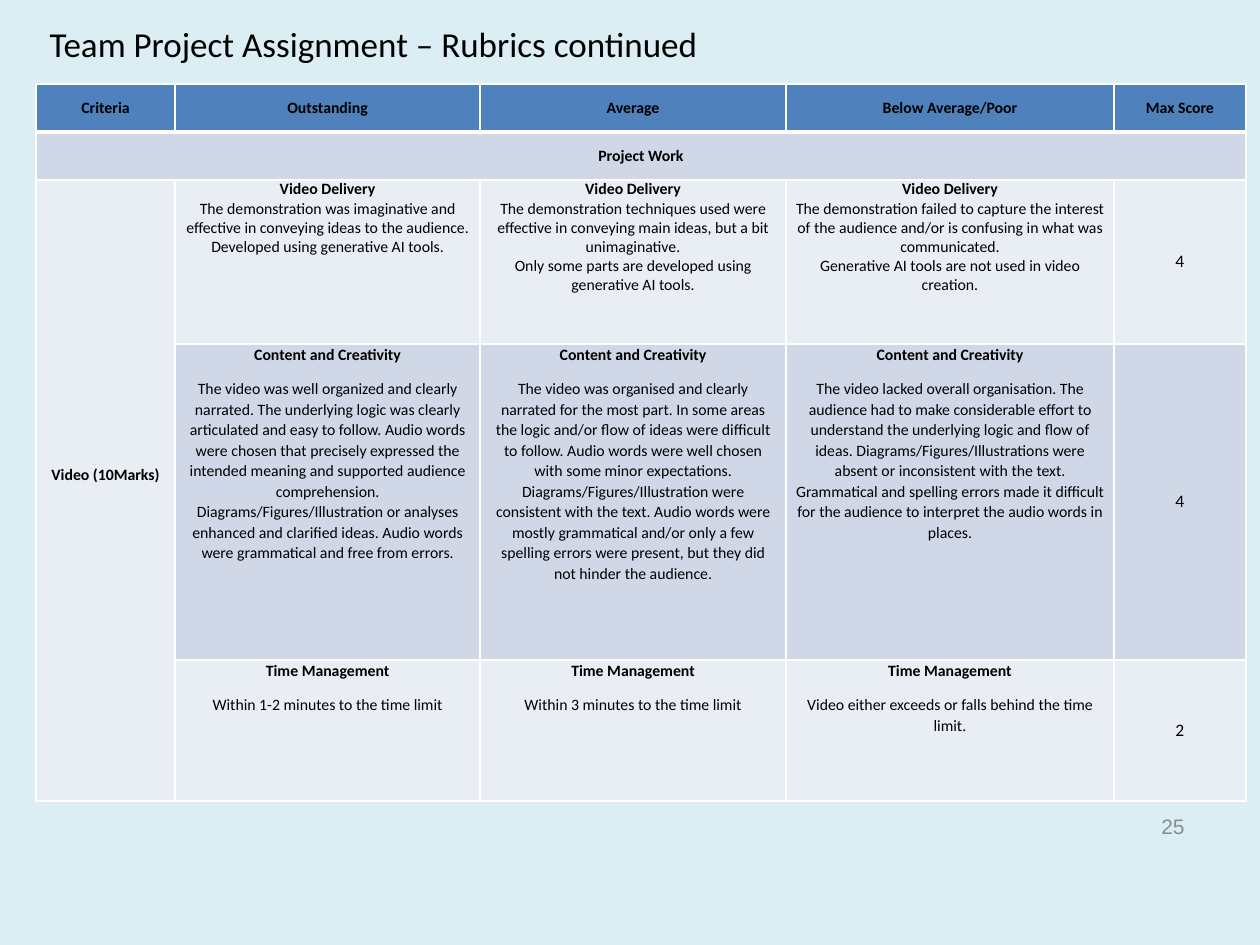
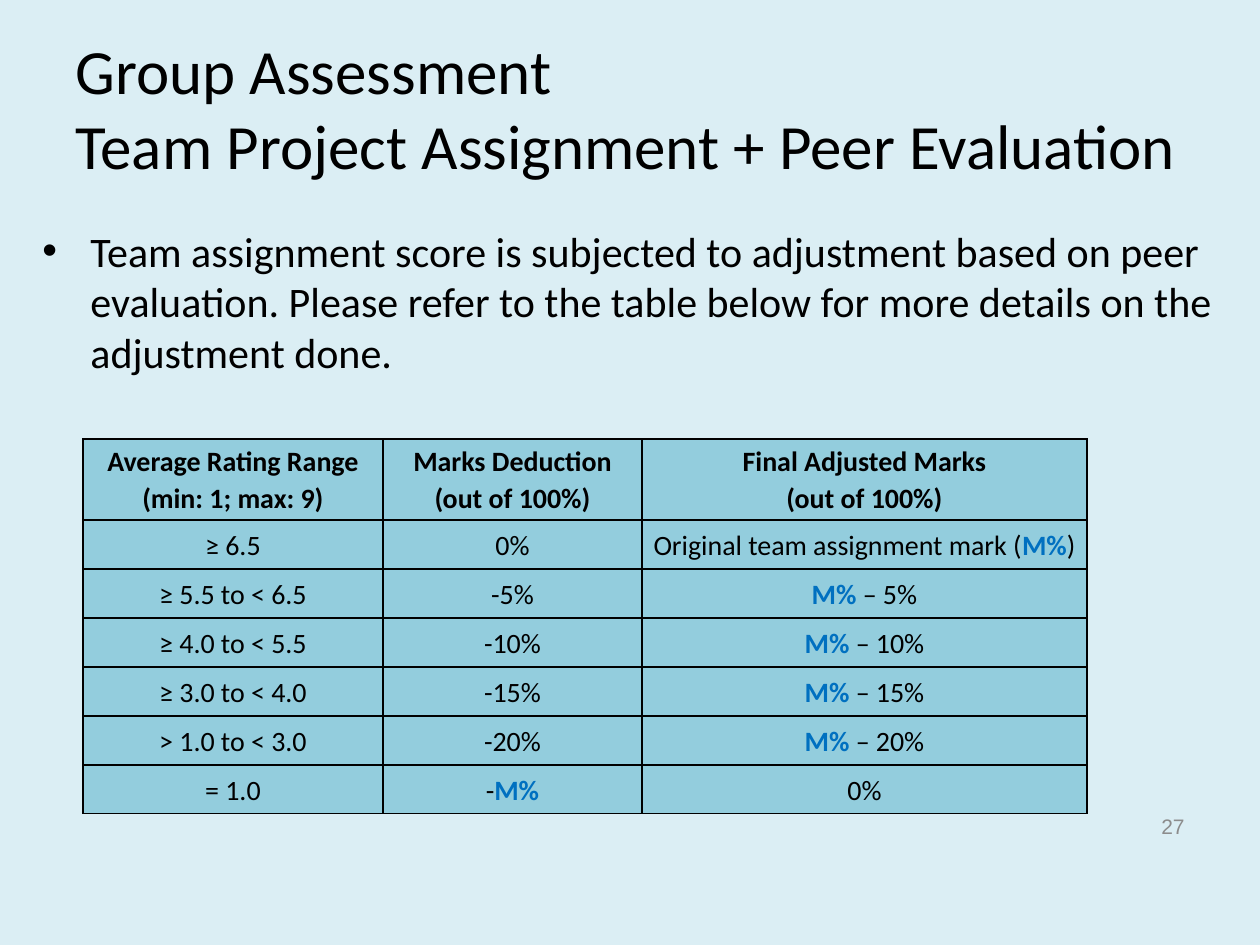
from lxml.etree import SubElement
from pptx import Presentation
from pptx.dml.color import RGBColor
from pptx.enum.text import MSO_ANCHOR, MSO_AUTO_SIZE, PP_ALIGN
from pptx.oxml.ns import qn
from pptx.util import Pt

PX = 914400 // 126
FONT = "Calibri"
C = {
    "background": "DBEEF4", "text": "000000", "number": "8C8C8C",
    "header": "4F81BD", "band": "D0D8E8", "light": "E9EDF4", "white": "FFFFFF",
    "aqua": "93CDDD", "mark": "0070C0",
}

RUBRIC_COLS = [139, 305, 306, 328, 132]
RUBRIC_ROWS = [48, 48, 164, 316, 141]
RUBRIC_HEADER = ["Criteria", "Outstanding", "Average", "Below Average/Poor", "Max Score"]
# One entry per row: heading, max score, then the paragraphs of each level
RUBRIC = [
    ("Video Delivery", "4", [
        ["The demonstration was imaginative and effective in conveying ideas to the audience. "
         "Developed using generative AI tools."],
        ["The demonstration techniques used were effective in conveying main ideas, "
         "but a bit unimaginative.",
         "Only some parts are developed using generative AI tools."],
        ["The demonstration failed to capture the interest of the audience and/or is confusing "
         "in what was communicated.",
         "Generative AI tools are not used in video creation."],
    ]),
    ("Content and Creativity", "4", [
        ["The video was well organized and clearly narrated. The underlying logic was clearly "
         "articulated and easy to follow. Audio words were chosen that precisely expressed the "
         "intended meaning and supported audience comprehension. Diagrams/Figures/Illustration "
         "or analyses enhanced and clarified ideas. Audio words were grammatical and free from "
         "errors."],
        ["The video was organised and clearly narrated for the most part. In some areas the logic "
         "and/or flow of ideas were difficult to follow. Audio words were well chosen with some "
         "minor expectations. Diagrams/Figures/Illustration were consistent with the text. Audio "
         "words were mostly grammatical and/or only a few spelling errors were present, but they "
         "did not hinder the audience."],
        ["The video lacked overall organisation. The audience had to make considerable effort to "
         "understand the underlying logic and flow of ideas. Diagrams/Figures/Illustrations were "
         "absent or inconsistent with the text. Grammatical and spelling errors made it difficult "
         "for the audience to interpret the audio words in places."],
    ]),
    ("Time Management", "2", [
        ["Within 1-2 minutes to the time limit"],
        ["Within 3 minutes to the time limit"],
        ["Video either exceeds or falls behind the time limit."],
    ]),
]

PEER_COLS = [300, 259, 445]
PEER_HEADER = [
    ["Average Rating Range", "(min: 1; max: 9)"],
    ["Marks Deduction", "(out of 100%)"],
    ["Final Adjusted Marks", "(out of 100%)"],
]
PEER_ROWS = [
    ("≥ 6.5", "0%", "Original team assignment mark (M%)"),
    ("≥ 5.5 to < 6.5", "-5%", "M% – 5%"),
    ("≥ 4.0 to < 5.5", "-10%", "M% – 10%"),
    ("≥ 3.0 to < 4.0", "-15%", "M% – 15%"),
    ("> 1.0 to < 3.0", "-20%", "M% – 20%"),
    ("= 1.0", "-M%", "0%"),
]


def rgb(name):
    return RGBColor.from_string(C[name])


def add_run(p, text, size, color, bold, font):
    r = p.add_run()
    r.text = text
    r.font.size, r.font.bold, r.font.name = Pt(size), bold, font
    r.font.color.rgb = rgb(color)


def write(tf, lines, size, color="text", font=FONT, align=PP_ALIGN.LEFT,
          bold_lines=0, spacing=None, after=None, mark=None):
    """Write one paragraph per line; the first bold_lines are bold, mark is highlighted."""
    for i, line in enumerate(lines):
        p = tf.paragraphs[0] if i == 0 else tf.add_paragraph()
        p.alignment = align
        if spacing:
            p.line_spacing = spacing
        if after:
            p.space_after = Pt(after)
        before, found, rest = line.partition(mark) if mark else (line, "", "")
        for text, marked in ((before, False), (found, True), (rest, False)):
            if text:
                add_run(p, text, size, "mark" if marked else color,
                        marked or i < bold_lines, font)


def place(sp, x, y, w, h):
    sp.left, sp.top, sp.width, sp.height = (v * PX for v in (x, y, w, h))


def add_slide(prs, title_lines, title_size, title_box, number):
    slide = prs.slides.add_slide(prs.slide_layouts[5])
    slide.background.fill.solid()
    slide.background.fill.fore_color.rgb = rgb("background")
    place(slide.shapes.title, *title_box)
    tf = slide.shapes.title.text_frame
    tf.auto_size = MSO_AUTO_SIZE.NONE
    tf.vertical_anchor = MSO_ANCHOR.MIDDLE
    write(tf, title_lines, title_size)
    add_text(slide, (903, 801, 294, 50), [number], 12, anchor=MSO_ANCHOR.MIDDLE,
             color="number", font="Arial", align=PP_ALIGN.RIGHT)
    return slide


def add_text(slide, box, lines, size, anchor=MSO_ANCHOR.TOP, **fmt):
    tf = slide.shapes.add_textbox(*(v * PX for v in box)).text_frame
    tf.word_wrap = True
    tf.vertical_anchor = anchor
    write(tf, lines, size, **fmt)
    return tf


def add_bullet(p, indent):
    pPr = p._p.get_or_add_pPr()
    pPr.set("marL", str(indent * PX))
    pPr.set("indent", str(-indent * PX))
    SubElement(pPr, qn("a:buFont")).set("typeface", "Arial")
    SubElement(pPr, qn("a:buChar")).set("char", "•")


def add_grid(slide, x, y, cols, rows):
    """Add an unstyled table with the given column widths and row heights."""
    frame = slide.shapes.add_table(len(rows), len(cols), x * PX, y * PX,
                                   sum(cols) * PX, sum(rows) * PX)
    table = frame.table
    table.first_row = table.horz_banding = False
    for column, width in zip(table.columns, cols):
        column.width = width * PX
    for row, height in zip(table.rows, rows):
        row.height = height * PX
    return table


def style_cell(cell, fill, line, top=1, bottom=1):
    tcPr = cell._tc.get_or_add_tcPr()
    for side, width in (("L", 1), ("R", 1), ("T", top), ("B", bottom)):
        ln = SubElement(tcPr, qn(f"a:ln{side}"), w=str(Pt(width)))
        SubElement(SubElement(ln, qn("a:solidFill")), qn("a:srgbClr")).set("val", C[line])
    cell.fill.solid()
    cell.fill.fore_color.rgb = rgb(fill)
    cell.margin_left = cell.margin_right = 9 * PX
    cell.margin_top = cell.margin_bottom = 0


def fill_cell(cell, lines, size, anchor=MSO_ANCHOR.MIDDLE, **fmt):
    cell.vertical_anchor = anchor
    write(cell.text_frame, lines, size, align=PP_ALIGN.CENTER, **fmt)


def add_rubric_table(slide):
    table = add_grid(slide, 36, 84, RUBRIC_COLS, RUBRIC_ROWS)
    fills = ["header", "band", "light", "band", "light"]
    for r, fill in enumerate(fills):
        for c in range(len(RUBRIC_COLS)):
            style_cell(table.cell(r, c), "light" if r > 1 and c == 0 else fill, "white",
                       top=3 if r == 1 else 1, bottom=3 if r == 0 else 1)
    table.cell(1, 0).merge(table.cell(1, 4))
    table.cell(2, 0).merge(table.cell(4, 0))

    loose = {"spacing": 1.07, "after": 8}
    for c, name in enumerate(RUBRIC_HEADER):
        fill_cell(table.cell(0, c), [name], 9, bold_lines=1, **loose)
    fill_cell(table.cell(1, 0), ["Project Work"], 9, bold_lines=1, **loose)
    criterion = table.cell(2, 0)
    fill_cell(criterion, ["Video (10Marks)"], 9, bold_lines=1, **loose)
    criterion.margin_bottom = 32 * PX

    for r, (heading, score, levels) in enumerate(RUBRIC, start=2):
        for c, lines in enumerate(levels, start=1):
            fill_cell(table.cell(r, c), [heading, *lines], 9, anchor=MSO_ANCHOR.TOP,
                      bold_lines=1, **({} if r == 2 else loose))
        fill_cell(table.cell(r, 4), [score], 10)


def add_peer_table(slide):
    rows = [PEER_HEADER] + [[[text] for text in row] for row in PEER_ROWS]
    table = add_grid(slide, 83, 439, PEER_COLS, [81] + [49] * len(PEER_ROWS))
    for r, row in enumerate(rows):
        for c, lines in enumerate(row):
            style_cell(table.cell(r, c), "aqua", "text")
            fill_cell(table.cell(r, c), lines, 16, spacing=1.07, mark="M%",
                      bold_lines=2 if r == 0 else 0)


def main():
    prs = Presentation()
    prs.slide_width, prs.slide_height = 1260 * PX, 945 * PX

    rubric = add_slide(prs, ["Team Project Assignment – Rubrics continued"], 20,
                       (37, 6, 1134, 76), "25")
    add_rubric_table(rubric)

    peer = add_slide(prs, ["Group Assessment", "Team Project Assignment + Peer Evaluation"], 36,
                     (63, 28, 1134, 158), "27")
    tf = add_text(peer, (30, 219, 1207, 180), [
        "Team assignment score is subjected to adjustment based on peer evaluation. "
        "Please refer to the table below for more details on the adjustment done."], 24)
    add_bullet(tf.paragraphs[0], 48)
    add_peer_table(peer)

    prs.save("out.pptx")


if __name__ == "__main__":
    main()
